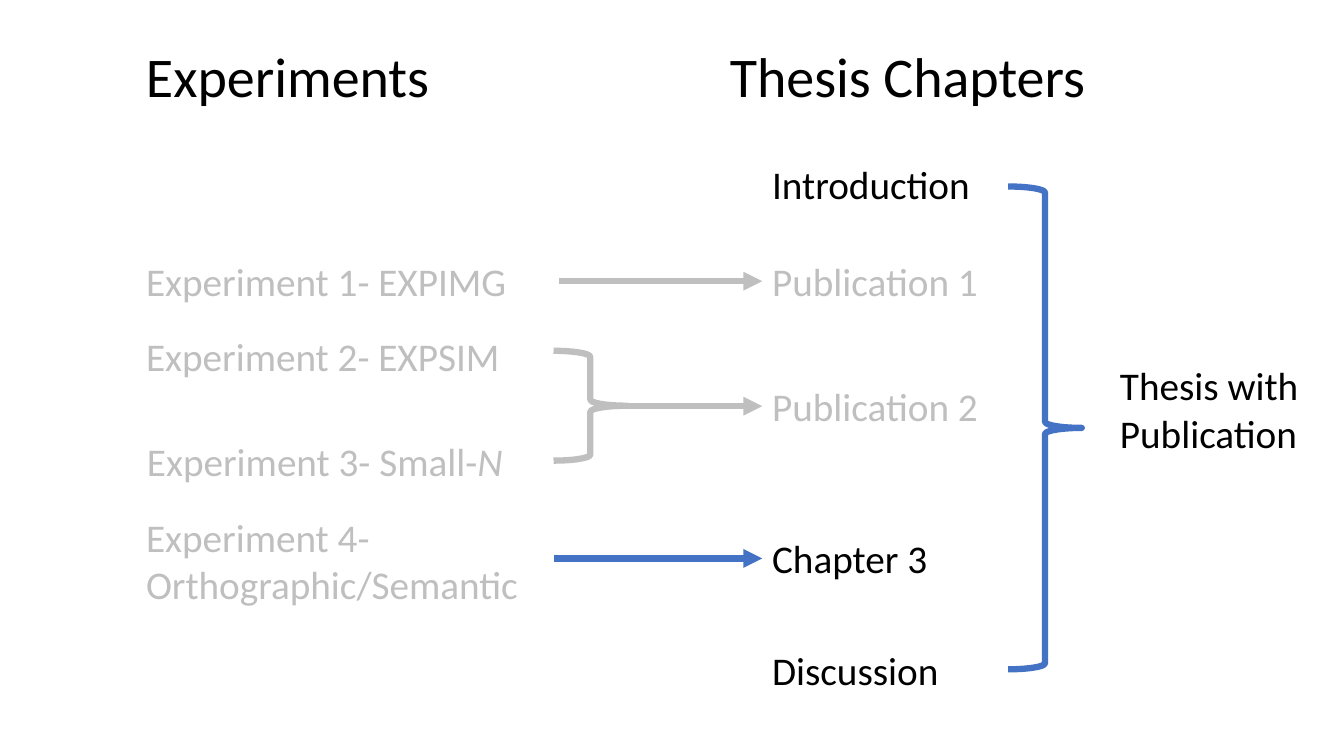
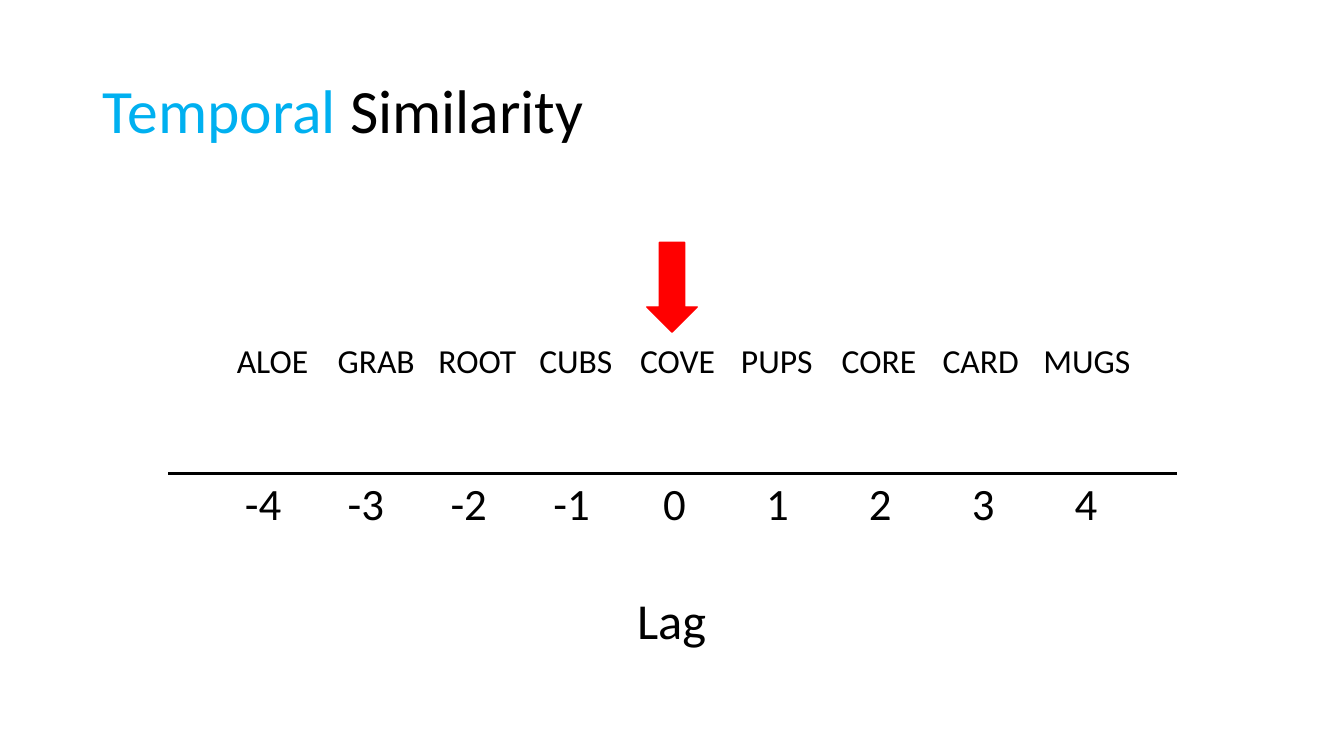
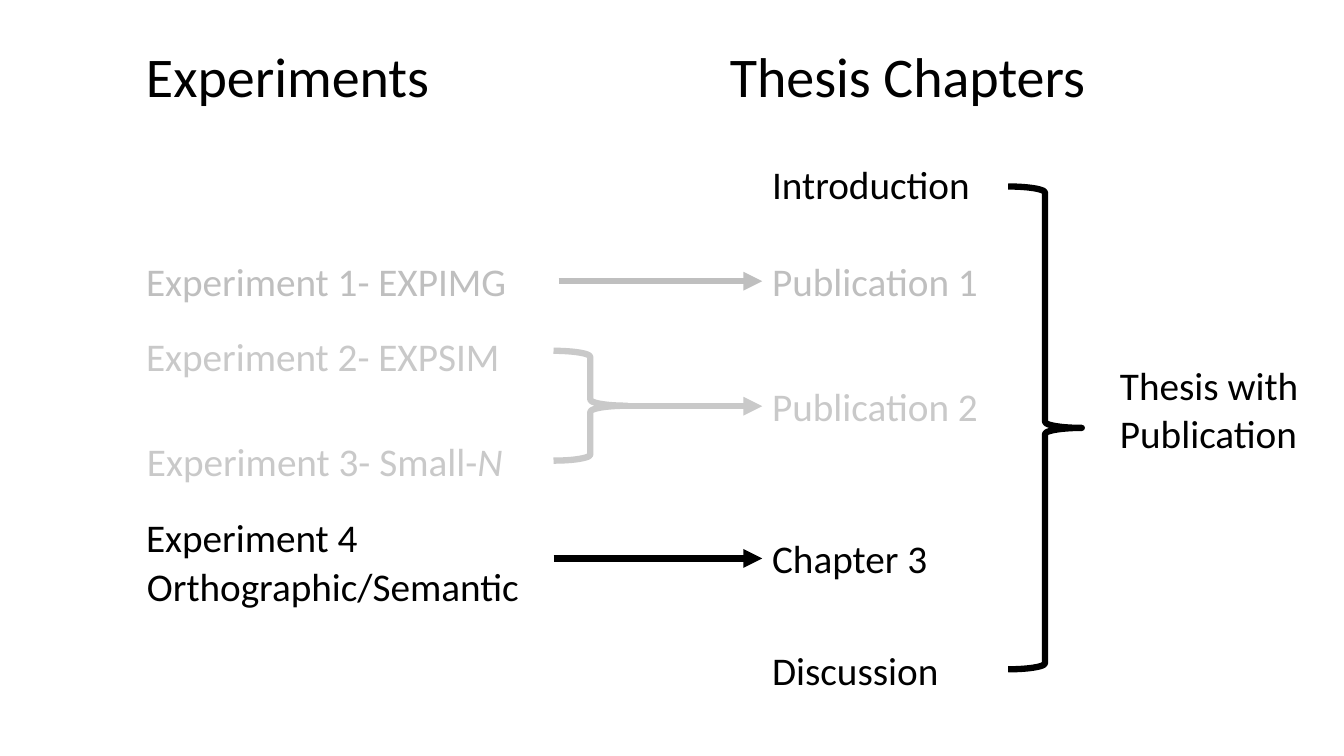
"""Build three slides: the thesis overview, the lag timeline and the overview at its next step."""
from dataclasses import dataclass

from lxml.etree import SubElement
from pptx import Presentation
from pptx.dml.color import RGBColor
from pptx.enum.shapes import MSO_CONNECTOR, MSO_SHAPE, MSO_SHAPE_TYPE
from pptx.enum.text import MSO_ANCHOR, MSO_AUTO_SIZE, PP_ALIGN
from pptx.oxml.ns import qn
from pptx.util import Pt

PX = 9144


@dataclass(frozen=True)
class Theme:
    font: str = "Calibri"
    ink: str = "000000"
    muted: str = "BFBFBF"
    faded: str = "C9C9C9"
    blue: str = "4472C4"
    sky: str = "00B0F0"
    red: str = "FF0000"
    title: int = 44
    heading: int = 40
    axis_name: int = 36
    tick: int = 32
    label: int = 28
    word: int = 24
    thick: float = 4.5
    axis: float = 2.25
    thin: float = 1


THEME = Theme()


def add_run(paragraph, text, size, color, italic=None):
    run = paragraph.add_run()
    run.text = text
    formats = {"name": THEME.font, "size": Pt(size), "italic": italic}
    for attribute, value in formats.items():
        setattr(run.font, attribute, value)
    run.font.color.rgb = RGBColor.from_string(color)


def add_text(slide, box, text, size, color, wrap=False):
    label = slide.shapes.add_textbox(*[length * PX for length in box])
    formats = {"word_wrap": wrap, "auto_size": MSO_AUTO_SIZE.SHAPE_TO_FIT_TEXT}
    for attribute, value in formats.items():
        setattr(label.text_frame, attribute, value)
    add_run(label.text_frame.paragraphs[0], text, size, color)
    return label


prs = Presentation()
prs.slide_width = 1333 * PX
prs.slide_height = 750 * PX
title_only, blank = prs.slide_layouts[5], prs.slide_layouts[6]
overview, timeline, next_step = [
    prs.slides.add_slide(layout) for layout in (blank, title_only, blank)
]
strokes = []

steps = [
    (overview, THEME.muted, THEME.blue, THEME.muted,
     [("Experiment 4- Orthographic/Semantic", (135, 504, 588, 104), True)]),
    (next_step, THEME.faded, THEME.ink, THEME.ink,
     [("Experiment 4", (135, 504, 588, 58), True),
      ("Orthographic/Semantic", (136, 553, 393, 58), False)]),
]
for slide, second_color, link_color, fourth_color, fourth_lines in steps:
    for heading, left, width in [("Experiments", 135, 304), ("Thesis Chapters", 714, 376)]:
        add_text(slide, (left, 36, width, 77), heading, THEME.heading, THEME.ink)

    for experiment, left, top, width, color in [
        ("Experiment 1- EXPIMG", 135, 250, 381, THEME.muted),
        ("Experiment 2- EXPSIM", 135, 325, 375, second_color),
        ("Experiment 3- Small-", 136, 429, 377, second_color),
    ]:
        experiment_label = add_text(
            slide, (left, top, width, 58), experiment, THEME.label, color)
    add_run(experiment_label.text_frame.paragraphs[0], "N", THEME.label, second_color, True)
    for line, box, wrap in fourth_lines:
        add_text(slide, box, line, THEME.label, fourth_color, wrap)

    for chapter, top, width, color, arrow_start, arrow_color in [
        ("Introduction", 154, 219, THEME.ink, None, None),
        ("Publication 1", 250, 227, THEME.muted, 554, THEME.muted),
        ("Publication 2", 374, 227, second_color, 601, second_color),
        ("Chapter 3", 525, 185, THEME.ink, 549, link_color),
        ("Discussion", 636, 187, THEME.ink, None, None),
    ]:
        chapter_label = add_text(
            slide, (756, top, width, 58), chapter, THEME.label, color)
        if arrow_start:
            middle = (top + 29) * PX
            arrow = slide.shapes.add_connector(
                MSO_CONNECTOR.STRAIGHT, arrow_start * PX, middle, 756 * PX, middle)
            arrow.end_connect(chapter_label, 1)
            strokes.append((arrow, arrow_color, THEME.thick, True))

    for box, color in [((549, 348, 73, 109), second_color), ((1000, 185, 73, 479), link_color)]:
        brace = slide.shapes.add_shape(
            MSO_SHAPE.RIGHT_BRACE, *[length * PX for length in box])
        brace.shadow.inherit = False
        brace.fill.background()
        strokes.append((brace, color, THEME.thick, False))
    add_text(slide, (1101, 354, 203, 104), "Thesis with Publication",
             THEME.label, THEME.ink, True)

title = timeline.shapes.title
for attribute, length in {"left": 92, "top": 40, "width": 1150, "height": 145}.items():
    setattr(title, attribute, length * PX)
title.text_frame.vertical_anchor = MSO_ANCHOR.MIDDLE
title.text_frame.auto_size = MSO_AUTO_SIZE.NONE
title_line = title.text_frame.paragraphs[0]
for attribute, value in {"alignment": PP_ALIGN.LEFT, "line_spacing": 0.9}.items():
    setattr(title_line, attribute, value)
add_run(title_line, "Temporal ", THEME.title, THEME.sky)
add_run(title_line, "Similarity", THEME.title, THEME.ink)

words = ["ALOE", "GRAB", "ROOT", "CUBS", "COVE", "PUPS", "CORE", "CARD", "MUGS"]
word_row = add_text(timeline, (225, 332, 915, 50), "\t".join(words), THEME.word, THEME.ink)
word_format = word_row.text_frame.paragraphs[0]._p.get_or_add_pPr()
tab_stops = SubElement(word_format, qn("a:tabLst"))
for column in range(1, len(words)):
    SubElement(tab_stops, qn("a:tab"), pos=str(column * 100 * PX), algn="l")

for lag in range(-4, 5):
    tick_width = 57 if lag < 0 else 43
    tick_left = 669 + lag * 102 - tick_width // 2
    add_text(timeline, (tick_left, 467, tick_width, 64), str(lag), THEME.tick, THEME.ink)
add_text(timeline, (622, 579, 89, 71), "Lag", THEME.axis_name, THEME.ink)

pointer = timeline.shapes.add_shape(
    MSO_SHAPE.RIGHT_ARROW, 622 * PX, 260 * PX, 89 * PX, 50 * PX)
pointer.rotation = 90
pointer.shadow.inherit = False
pointer.fill.solid()
pointer.fill.fore_color.rgb = RGBColor.from_string(THEME.red)
strokes.append((pointer, THEME.red, THEME.thin, False))
axis = timeline.shapes.add_connector(
    MSO_CONNECTOR.STRAIGHT, 167 * PX, 470 * PX, 1167 * PX, 470 * PX)
strokes.append((axis, THEME.ink, THEME.axis, False))

for mark, color, width, has_head in strokes:
    mark.line.color.rgb = RGBColor.from_string(color)
    mark.line.width = Pt(width)
    properties = mark.element.spPr
    if has_head:
        SubElement(properties.find(qn("a:ln")), qn("a:tailEnd"), type="triangle")
    if mark.shape_type == MSO_SHAPE_TYPE.LINE:
        SubElement(properties, qn("a:effectLst"))

prs.save("out.pptx")
